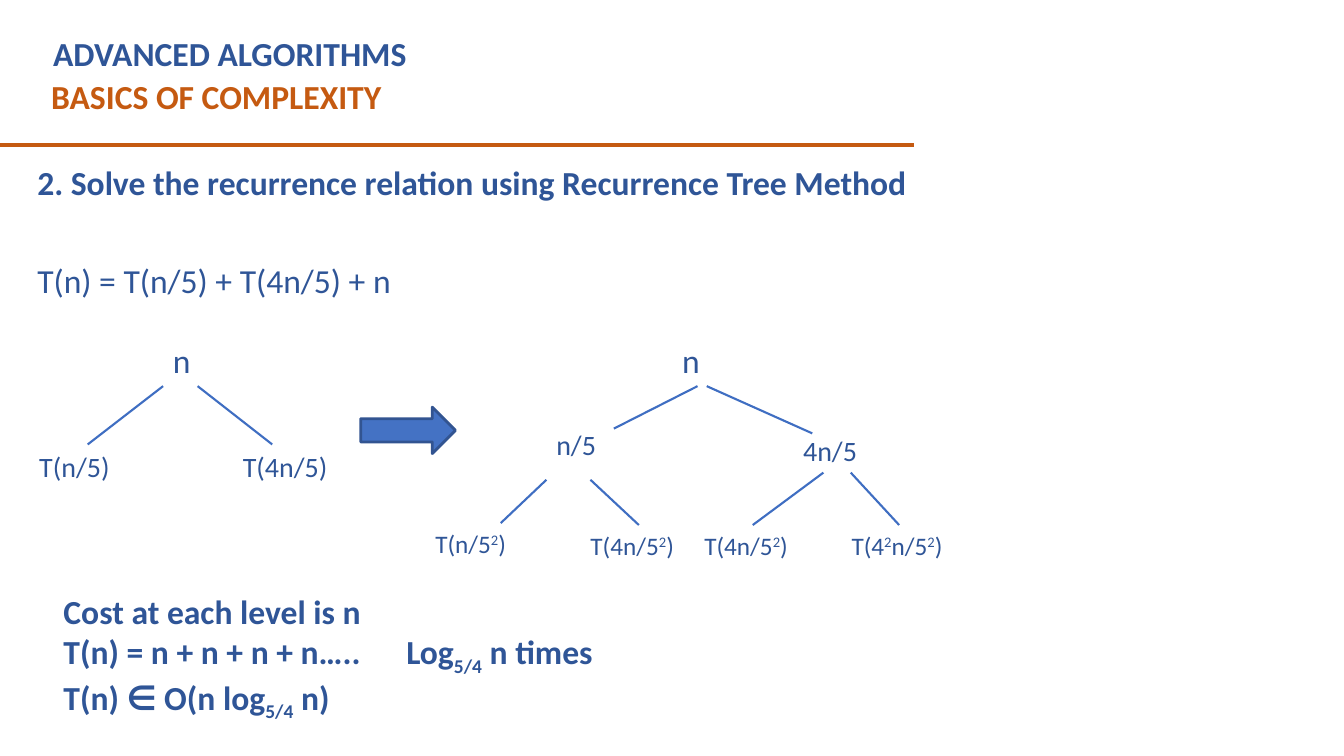
from pptx import Presentation
from pptx.dml.color import RGBColor
from pptx.enum.shapes import MSO_CONNECTOR, MSO_SHAPE
from pptx.enum.text import MSO_ANCHOR, PP_ALIGN
from pptx.oxml.ns import qn
from pptx.util import Cm, Pt
from lxml.etree import SubElement

THEME = {
    "font": "Calibri",
    "ink": "2F5597", "rust": "C55A11", "branch": "3F6EC2",
    "fill": "4472C4", "edge": "325491",
    "big": 24, "mid": 20, "small": 18,
    "raise": "30000", "lower": "-25000",
}

HEADS = [
    ("BASICS OF COMPLEXITY", (1.04, 1.8, 22.23, 1.27), "rust"),
    ("ADVANCED ALGORITHMS", (1.09, 0.71, 20.83, 1.27), "ink"),
]
TASK = [
    ("2. Solve the recurrence relation using Recurrence Tree Method", True, 41.3),
    ("T(n) = T(n/5) + T(4n/5) + n", False, 6),
]
TASK_BOX = (0.43, 3.58, 23.04, 4.47)
RULE = (0, 3.66, 23.04, 3.66)
ARROW = (9.09, 10.26, 2.39, 1.17)

TREES = [
    {
        "nodes": [
            (("n",), 4.11, 8.43, "big"),
            (("T(n/5)",), 0.74, 11.2, "mid"),
            (("T(4n/5)",), 5.87, 11.2, "mid"),
        ],
        "lines": [(4.11, 9.73, 2.21, 11.2), (4.98, 9.73, 6.86, 11.2)],
    },
    {
        "nodes": [
            (("n",), 16.94, 8.43, "big"),
            (("n/5",), 13.77, 10.64, "mid"),
            (("4n/5",), 19.99, 10.8, "mid"),
            (("T(n/5", "2", ")"), 10.72, 13.18, "small"),
            (("T(4n/5", "2", ")"), 14.63, 13.23, "small"),
            (("T(4n/5", "2", ")"), 17.5, 13.23, "small"),
            (("T(4", "2", "n/5", "2", ")"), 21.21, 13.23, "small"),
        ],
        "lines": [
            (17.58, 9.73, 15.47, 10.8), (17.81, 9.73, 20.47, 10.92),
            (13.77, 12.09, 12.62, 13.18), (14.88, 12.09, 16.1, 13.23),
            (20.75, 11.91, 18.97, 13.23), (21.44, 11.91, 22.66, 13.23),
        ],
    },
]
NODE_SIZE = (2.92, 1.27)

COSTS = [
    ("Cost at each level is n",),
    ("T(n) = n + n + n + n…..	Log", "5/4", " n times"),
    ("T(n) ∈ O(n log", "5/4", " n)"),
]
COST_BOX = (1.35, 14.76, 20.65, 3.58)
COST_TAB = 8.64


def tint(name):
    return RGBColor.from_string(THEME[name])


def add_box(shapes, place):
    frame = shapes.add_textbox(*map(Cm, place)).text_frame
    frame.word_wrap = True
    return frame


def write(para, parts, size="big", color="ink", bold=False, shift="raise"):
    for i, part in enumerate(parts):
        run = para.add_run()
        run.text = part
        font = run.font
        font.name = THEME["font"]
        font.size = Pt(THEME[size])
        font.bold = bold
        font.color.rgb = tint(color)
        if i % 2:
            run._r.get_or_add_rPr().set("baseline", THEME[shift])


def add_line(shapes, ends, color, width):
    line = shapes.add_connector(MSO_CONNECTOR.STRAIGHT, *map(Cm, ends))
    line.line.color.rgb = tint(color)
    line.line.width = Pt(width)
    SubElement(line._element.spPr, qn("a:effectLst"))


def add_para(frame, i):
    return frame.add_paragraph() if i else frame.paragraphs[0]


def add_task(shapes):
    frame = add_box(shapes, TASK_BOX)
    frame.vertical_anchor = MSO_ANCHOR.MIDDLE
    frame.margin_left = Cm(0.51)
    frame.margin_top = frame.margin_bottom = 0
    for i, (text, bold, after) in enumerate(TASK):
        para = add_para(frame, i)
        para.alignment = PP_ALIGN.JUSTIFY
        para.space_after = Pt(after)
        write(para, [text], bold=bold)


def add_tree(shapes, tree):
    group = shapes.add_group_shape().shapes
    for parts, left, top, size in tree["nodes"]:
        frame = add_box(group, (left, top, *NODE_SIZE))
        write(frame.paragraphs[0], parts, size)
    for ends in tree["lines"]:
        add_line(group, ends, "branch", 1.5)


def add_arrow(shapes):
    arrow = shapes.add_shape(MSO_SHAPE.RIGHT_ARROW, *map(Cm, ARROW))
    arrow.shadow.inherit = False
    arrow.fill.solid()
    arrow.fill.fore_color.rgb = tint("fill")
    arrow.line.color.rgb = tint("edge")
    arrow.line.width = Pt(2)


def add_costs(shapes):
    frame = add_box(shapes, COST_BOX)
    for i, parts in enumerate(COSTS):
        para = add_para(frame, i)
        tabs = SubElement(para._p.get_or_add_pPr(), qn("a:tabLst"))
        SubElement(tabs, qn("a:tab"), pos=str(Cm(COST_TAB)), algn="l")
        write(para, parts, bold=True, shift="lower")


def main():
    deck = Presentation()
    deck.slide_width, deck.slide_height = Cm(33.87), Cm(19.05)
    shapes = deck.slides.add_slide(deck.slide_layouts[6]).shapes
    for text, place, color in HEADS:
        write(add_box(shapes, place).paragraphs[0], [text], color=color, bold=True)
    add_line(shapes, RULE, "rust", 3)
    add_task(shapes)
    for tree in TREES:
        add_tree(shapes, tree)
    add_arrow(shapes)
    add_costs(shapes)
    deck.save("out.pptx")


if __name__ == "__main__":
    main()
